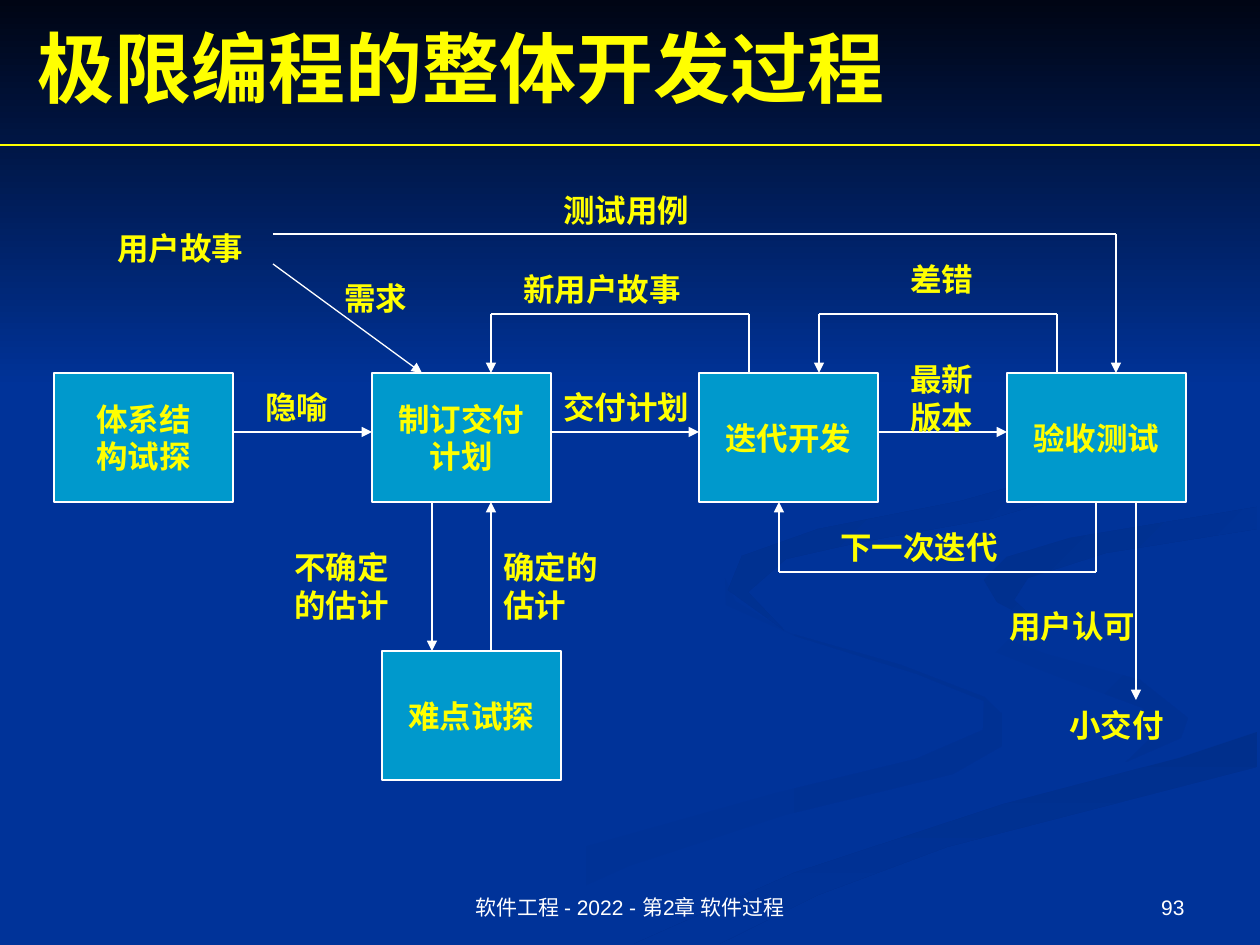
"""Build the slide on the overall development process of extreme programming."""
import pptx
import pptx.dml.color
import pptx.enum.shapes
import pptx.enum.text
import pptx.oxml.ns
import pptx.util
from lxml import etree

PX = 914400 / 126
WIDTH, HEIGHT = 1260, 945
COLORS = {"blue": "003399", "night": "000514", "dusk": "003193", "shade": "002F8C",
          "box": "0099CC", "white": "FFFFFF", "yellow": "FFFF00"}
ALIGN = pptx.enum.text.PP_ALIGN
ANCHOR = pptx.enum.text.MSO_ANCHOR

TITLE = "极限编程的整体开发过程"
FOOTERS = [
    ("软件工程 - 2022 - 第2章 软件过程", 402, 456, ALIGN.CENTER),
    ("93", 903, 294, ALIGN.RIGHT),
]
BOX_WIDTH, BOX_HEIGHT = 179, 129
ROW_TOP, ROW_BOTTOM, ROW_ARROW, TRIAL_TOP = 373, 502, 432, 651
BOXES = {
    "体系结\n构试探": (54, ROW_TOP),
    "制订交付\n计划": (372, ROW_TOP),
    "迭代开发": (699, ROW_TOP),
    "验收测试": (1007, ROW_TOP),
    "难点试探": (382, TRIAL_TOP),
}
LABELS = [
    ("不确定的估计", 282, 542, 139),
    ("确定的估计", 491, 542, 139),
    ("隐喻", 253, 382, 100),
    ("交付计划", 551, 382, 169),
    ("最新版本", 898, 354, 118),
    ("需求", 332, 273, 100),
    ("新用户故事", 511, 264, 228),
    ("差错", 898, 254, 159),
    ("下一次迭代", 828, 522, 228),
    ("用户认可", 997, 601, 179),
    ("小交付", 1057, 700, 159),
    ("测试用例", 551, 185, 238),
    ("用户故事", 105, 223, 169),
]
LOOPS = [
    (749, 491, ROW_TOP, 314),
    (1057, 819, ROW_TOP, 314),
    (1096, 779, ROW_BOTTOM, 572),
]
ROUTES = [
    [(432, ROW_BOTTOM), (432, TRIAL_TOP)],
    [(491, TRIAL_TOP), (491, ROW_BOTTOM)],
    [(273, 234), (1116, 234), (1116, ROW_TOP)],
    [(273, 264), (422, ROW_TOP)],
    [(1136, ROW_BOTTOM), (1136, 700)],
]
RIBBONS = [
    (("blue", "dusk", 0), [
        (984, 697), (901, 665), (789, 633), (735, 601), (725, 578), (726, 605),
        (795, 636), (917, 674), (984, 701), (983, 730), (916, 759), (776, 793),
        (577, 849), (378, 944), (455, 944), (629, 866), (785, 815), (953, 774),
        (1002, 746), (1002, 714)]),
    (("blue", "dusk", 45), [
        (1188, 718), (1140, 680), (1046, 654), (924, 609), (912, 585), (940, 630),
        (1056, 676), (1143, 708), (1157, 732), (1126, 762), (1181, 738)]),
    (("shade", "blue", 90), [
        (634, 944), (719, 944), (818, 895), (947, 847), (1257, 767), (1257, 732),
        (1179, 758), (1004, 804), (794, 873)]),
    (("shade", "blue", 45), [
        (984, 580), (997, 602), (1041, 625), (1014, 600), (1028, 578), (1106, 553),
        (1257, 529), (1257, 507), (1070, 538), (1007, 557)]),
    (("shade", "blue", 45), [
        (861, 542), (990, 519), (1077, 493), (1120, 456), (1121, 408), (1062, 347),
        (960, 294), (1077, 359), (1120, 422), (1085, 466), (961, 501), (818, 529),
        (742, 556), (728, 590), (784, 630), (748, 592), (786, 559)]),
    (("night", "blue", 90), [(0, 0), (0, 388), (WIDTH, 388), (WIDTH, 0)]),
]


def emu(*lengths):
    return [round(length * PX) for length in lengths]


def color(name):
    return pptx.dml.color.RGBColor.from_string(COLORS[name])


def add_ribbon(page, gradient, points):
    start, end, angle = gradient
    builder = page.shapes.build_freeform(*points[0], scale=PX)
    builder.add_line_segments(points[1:], close=True)
    ribbon = builder.convert_to_shape()
    ribbon.shadow.inherit = False
    ribbon.line.fill.background()
    ribbon.fill.gradient()
    ribbon.fill.gradient_angle = (360 - angle) % 360
    for stop, name, position in zip(ribbon.fill.gradient_stops, (start, end), (0, 1)):
        stop.color.rgb = color(name)
        stop.position = position


def write(shape, text, size=18, name="yellow", font="Times New Roman", bold=True,
          align=ALIGN.LEFT, anchor=ANCHOR.TOP, wrap=True):
    frame = shape.text_frame
    frame.text = text
    frame.word_wrap = wrap
    frame.auto_size = pptx.enum.text.MSO_AUTO_SIZE.NONE
    frame.vertical_anchor = anchor
    for para in frame.paragraphs:
        para.alignment = align
        para.font.size = pptx.util.Pt(size)
        para.font.name = font
        para.font.bold = bold
        para.font.color.rgb = color(name)


def add_line(page, start, end, name, arrow=False):
    line = page.shapes.add_connector(
        pptx.enum.shapes.MSO_CONNECTOR.STRAIGHT, *emu(*start, *end))
    line.line.color.rgb = color(name)
    line.line.width = pptx.util.Pt(0.75)
    if arrow:
        etree.SubElement(line.line._get_or_add_ln(), pptx.oxml.ns.qn("a:tailEnd"),
                         type="triangle")
    etree.SubElement(line._element.spPr, pptx.oxml.ns.qn("a:effectLst"))


def find_routes():
    row = [left for left, top in BOXES.values() if top == ROW_TOP]
    steps = [[(left + BOX_WIDTH, ROW_ARROW), (following, ROW_ARROW)]
             for left, following in zip(row, row[1:])]
    loops = [[(start, edge), (start, turn), (end, turn), (end, edge)]
             for start, end, edge, turn in LOOPS]
    return steps + loops + ROUTES


def main():
    deck = pptx.Presentation()
    deck.slide_width, deck.slide_height = emu(WIDTH, HEIGHT)
    page = deck.slides.add_slide(deck.slide_layouts[5])
    page.background.fill.solid()
    page.background.fill.fore_color.rgb = color("blue")
    for gradient, points in RIBBONS:
        add_ribbon(page, gradient, points)

    title = page.shapes.title
    title.left, title.top, title.width, title.height = emu(25, 18, 1201, 97)
    write(title, TITLE, size=44, anchor=ANCHOR.MIDDLE)
    title._element.getparent().append(title._element)
    add_line(page, (0, 145), (WIDTH, 145), "yellow")

    for text, corner in BOXES.items():
        box = page.shapes.add_shape(pptx.enum.shapes.MSO_SHAPE.RECTANGLE,
                                    *emu(*corner, BOX_WIDTH, BOX_HEIGHT))
        box.shadow.inherit = False
        box.fill.solid()
        box.fill.fore_color.rgb = color("box")
        box.line.color.rgb = color("white")
        box.line.width = pptx.util.Pt(0.75)
        write(box, text, align=ALIGN.CENTER, anchor=ANCHOR.MIDDLE, wrap=False)
    for route in find_routes():
        for start, end in zip(route, route[1:]):
            add_line(page, start, end, "white", arrow=end == route[-1])
    for text, left, top, width in LABELS:
        height = 88 if len(text) * 32 + 25 > width else 50
        write(page.shapes.add_textbox(*emu(left, top, width, height)), text)
    for text, left, width, align in FOOTERS:
        write(page.shapes.add_textbox(*emu(left, 861, width, 65)), text, size=12,
              name="white", font="Arial", bold=False, align=align, anchor=ANCHOR.BOTTOM)
    deck.save("out.pptx")


if __name__ == "__main__":
    main()
